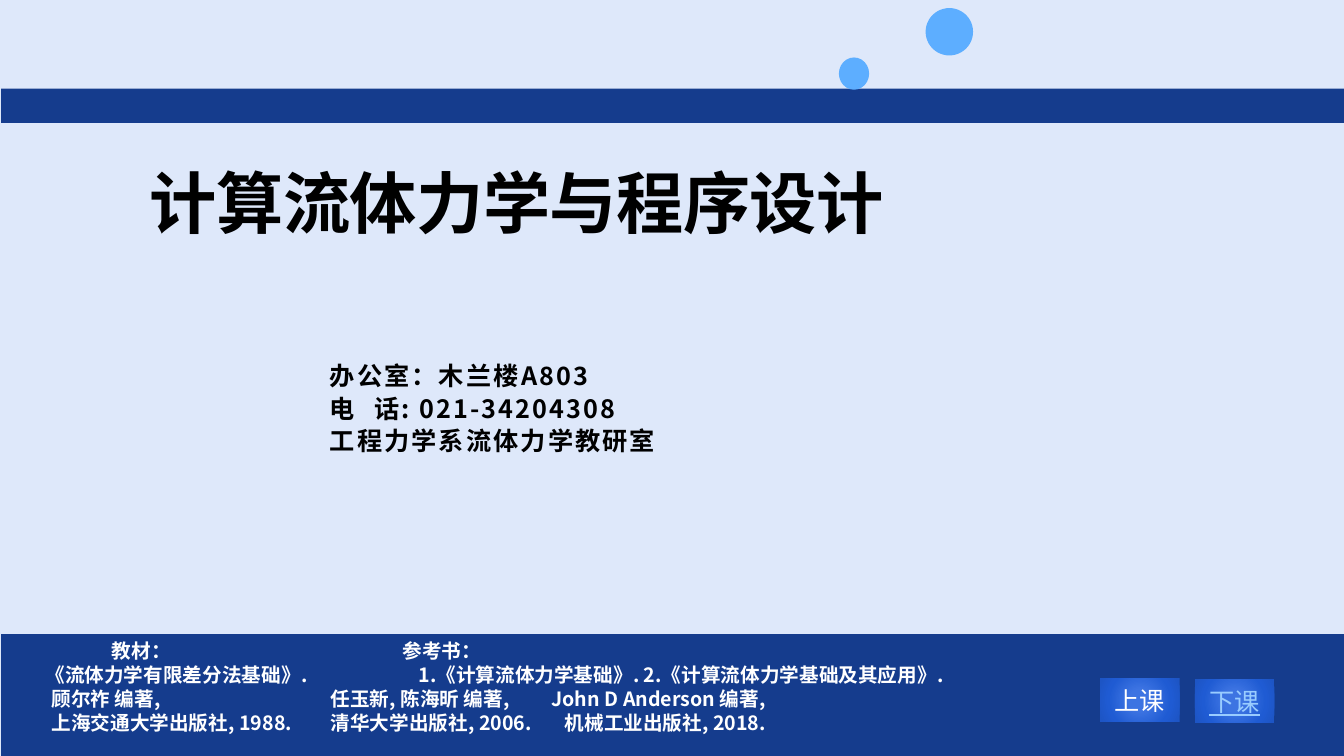
"""Build the title slide of a course on computational fluid dynamics."""
from lxml.etree import SubElement
from pptx import Presentation
from pptx.dml.color import RGBColor
from pptx.enum.shapes import MSO_SHAPE
from pptx.enum.text import MSO_ANCHOR, PP_ALIGN
from pptx.oxml import parse_xml
from pptx.oxml.ns import nsdecls, qn
from pptx.util import Inches, Pt

CJK = "Noto Sans CJK SC"
theme = {
    "back": "DEE8FA", "navy": "153C8D", "sky": "5DAEFF",
    "glow": [(0, "3D74E2"), (23, "3D74E2"), (69, "1F5BD3"), (97, "1D55C5")],
    "title": dict(size=48, name="DejaVu Sans", color="000000", bold=True, spc=-40),
    "info": dict(size=18, name=CJK, color="000000", bold=True, spc=150),
    "books": dict(size=14, name=CJK, color="FFFFFF", bold=True, spc=0),
    "start": dict(size=18, name=CJK, color="FFFFFF", bold=False, spc=0),
    "end": dict(size=18, name=CJK, color="99CCFF", bold=False, underline=True, spc=0),
}

deck = Presentation()
deck.slide_width, deck.slide_height = Inches(13.33), Inches(7.5)
wide, high = deck.slide_width / 100, deck.slide_height / 100
slide = deck.slides.add_slide(deck.slide_layouts[6])
slide.background.fill.solid()
slide.background.fill.fore_color.rgb = RGBColor.from_string(theme["back"])


def put(kind, box, fill):
    """Place a shape by percent of the slide."""
    x, y, w, h = box
    spot = [int(n) for n in (x * wide, y * high, w * wide, h * high)]
    if kind is None:
        return slide.shapes.add_textbox(*spot)
    shape = slide.shapes.add_shape(kind, *spot)
    shape.shadow.inherit = False
    shape.line.fill.background()
    if fill:
        shape.fill.solid()
        shape.fill.fore_color.rgb = RGBColor.from_string(fill)
    return shape


def say(shape, rows, style, align=PP_ALIGN.LEFT, anchor=MSO_ANCHOR.TOP, space=1.0, left=0):
    """Write rows of text, each with its tab stops, in one style."""
    frame = shape.text_frame
    margins = dict(margin_left=int(left * wide), margin_right=0, margin_top=0, margin_bottom=0)
    for key, value in dict(word_wrap=True, vertical_anchor=anchor, **margins).items():
        setattr(frame, key, value)
    for i, (text, stops) in enumerate(rows):
        para = frame.add_paragraph() if i else frame.paragraphs[0]
        para.alignment, para.line_spacing = align, space
        if stops:
            tabs = SubElement(para._p.get_or_add_pPr(), qn("a:tabLst"))
            for stop in stops:
                SubElement(tabs, qn("a:tab"), pos=str(int(stop * wide)), algn="l")
        run = para.add_run()
        run.text = text
        look = dict(style)
        color, spc = look.pop("color"), look.pop("spc")
        look["size"] = Pt(look["size"])
        for key, value in look.items():
            setattr(run.font, key, value)
        run.font.color.rgb = RGBColor.from_string(color)
        props = run._r.get_or_add_rPr()
        props.set("spc", str(spc))
        SubElement(props, qn("a:ea"), typeface=CJK)


info = put(None, (16.35, 47.47, 34.88, 16.67), None)
say(info, [("办公室：木兰楼A803", []), ("电\t话: 021-34204308", [3.3]),
           ("工程力学系流体力学教研室", [])], theme["info"], space=Pt(23), left=8.2)

title = put(None, (7.5, 14, 61.88, 18), None)
say(title, [("计算流体力学与程序设计", [])], theme["title"],
    PP_ALIGN.CENTER, MSO_ANCHOR.BOTTOM, 0.85)

foot = put(MSO_SHAPE.RECTANGLE, (0.08, 83.87, 99.92, 16.13), theme["navy"])
books = [
    ("\t教材：\t参考书：", [8.25, 29.86]),
    ("\t《流体力学有限差分法基础》.\t1.《计算流体力学基础》. 2.《计算流体力学基础及其应用》.", [3.3, 31.06]),
    ("\t顾尔祚 编著,\t任玉新, 陈海昕 编著,\tJohn D Anderson 编著,", [3.75, 24.53, 40.96]),
    ("\t上海交通大学出版社, 1988.\t清华大学出版社, 2006.\t机械工业出版社, 2018.", [3.75, 24.53, 41.94]),
]
say(foot, books, theme["books"], space=Pt(17))
foot.text_frame.margin_top = Inches(0.05)

put(MSO_SHAPE.RECTANGLE, (0.08, 11.73, 99.92, 4.53), theme["navy"])
for box in [(68.87, 1.07, 3.53, 6.27), (62.42, 7.6, 2.25, 4.27)]:
    put(MSO_SHAPE.OVAL, box, theme["sky"])

stops = "".join(f'<a:gs pos="{at * 1000}"><a:srgbClr val="{hue}"/></a:gs>' for at, hue in theme["glow"])
for word, x, y, style in [("上课", 81.85, 89.73, "start"), ("下课", 88.9, 89.87, "end")]:
    key = put(MSO_SHAPE.ACTION_BUTTON_CUSTOM, (x, y, 5.93, 5.73), None)
    key._element.spPr.insert(2, parse_xml(
        f'<a:gradFill {nsdecls("a")}><a:gsLst>{stops}</a:gsLst><a:path path="circle">'
        '<a:fillToRect l="50000" t="50000" r="50000" b="50000"/></a:path></a:gradFill>'))
    say(key, [(word, [])], theme[style], PP_ALIGN.CENTER, MSO_ANCHOR.MIDDLE)

deck.save("out.pptx")
